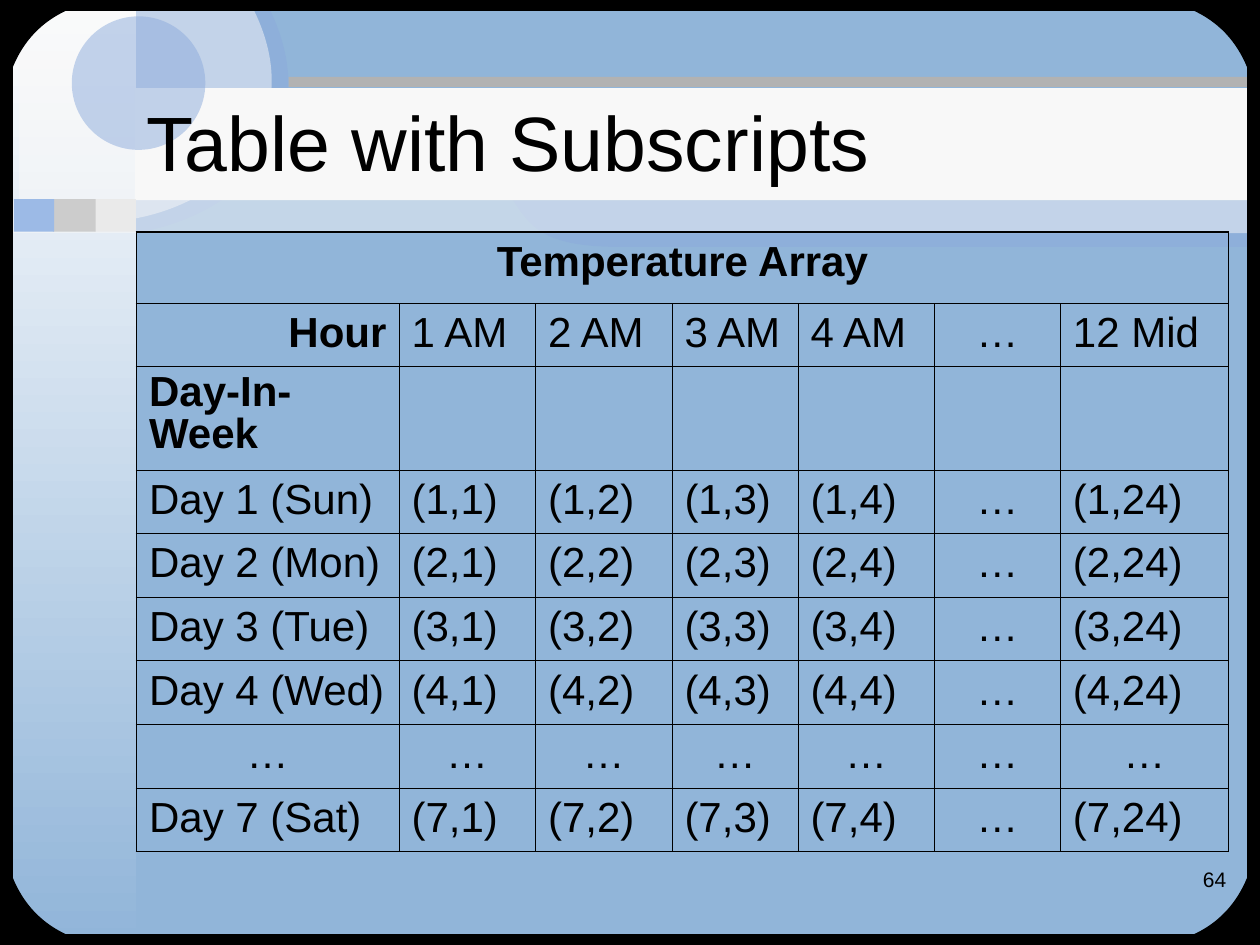
from lxml.etree import SubElement
from pptx import Presentation
from pptx.dml.color import RGBColor
from pptx.enum.shapes import MSO_SHAPE
from pptx.enum.text import MSO_ANCHOR, MSO_AUTO_SIZE, PP_ALIGN
from pptx.oxml.ns import qn
from pptx.util import Inches, Pt

WIDTH, HEIGHT = 10, 7.5
BLACK, PALE, SKY, BLUE = "000000", "F8F8F8", "91B5D9", "8CABDC"
COLUMN_WIDTHS = [twelfths / 12 for twelfths in (25, 13, 13, 12, 13, 12, 16)]
TABLE_HEIGHT = 4.92
HEADER_HEIGHTS = [0.57, 0.5, 0.82]
DAYS = [(1, "Sun"), (2, "Mon"), (3, "Tue"), (4, "Wed"), None, (7, "Sat")]
HOURS = [1, 2, 3, 4, None, 24]
ELLIPSIS = "…"

BAND_CURVE = [(4.07, 1.59),
              (6.99, 1.59), (9.91, 1.59), (9.91, 1.59),
              (9.91, 1.59), (9.91, 1.78), (9.91, 1.96),
              (7.13, 1.96), (5.65, 1.96), (4.91, 1.96),
              (4.29, 1.96), (4.2, 1.78), (4.07, 1.59)]
OUTER_DISC = [(2.13, 0.05),
              (2.81, 1.41), (1.16, 2.21), (0.15, 1.73),
              (0.15, 1.62), (0.15, 0.32), (0.15, 0.05),
              (0.57, 0.05), (1.48, 0.05), (2.13, 0.05)]
INNER_DISC = [(2.01, 0.07),
              (2.64, 1.34), (1.09, 2.08), (0.15, 1.63),
              (0.15, 1.53), (0.15, 0.32), (0.15, 0.07),
              (0.54, 0.07), (1.39, 0.07), (2.01, 0.07)]
CORNER = [(0, 0.88),
          (0, 0.68), (0.01, 0.44), (0.01, 0),
          (0.24, 0), (0.65, 0), (0.77, 0),
          (0.09, 0.14), (0.05, 0.7), (0, 0.88)]


def rgb(color):
    """Return the colour for a hex string."""
    return RGBColor.from_string(color)


def set_attributes(target, values):
    """Set each named attribute of the target."""
    for name, value in values.items():
        setattr(target, name, value)


def paint(shape, color, alpha=None, outlined=False):
    """Fill a shape, with optional opacity in percent and an outline."""
    shape.shadow.inherit = False
    shape.fill.solid()
    shape.fill.fore_color.rgb = rgb(color)
    if alpha is not None:
        color_element = shape.element.spPr.find(qn("a:solidFill"))[0]
        SubElement(color_element, qn("a:alpha"), val=str(alpha * 1000))
    if outlined:
        shape.line.color.rgb = rgb(color)
        shape.line.width = Pt(0.75)
    else:
        shape.line.fill.background()


def add_preset(slide, box, color, alpha=None, outlined=False,
               kind=MSO_SHAPE.RECTANGLE):
    """Add a painted preset shape."""
    shape = slide.shapes.add_shape(kind, *map(Inches, box))
    paint(shape, color, alpha, outlined)
    return shape


def add_curve(slide, points, color, alpha=None, outlined=False):
    """Add a painted freeform whose points after the first form cubic curves."""
    points = [(Inches(x), Inches(y)) for x, y in points]
    builder = slide.shapes.build_freeform(*points[0])
    builder.add_line_segments(points[1:], close=True)
    shape = builder.convert_to_shape()
    segments = list(shape.element.iter(qn("a:lnTo")))
    for start in range(0, len(segments), 3):
        curve, *others = segments[start:start + 3]
        curve.tag = qn("a:cubicBezTo")
        for segment in others:
            curve.append(segment[0])
            segment.getparent().remove(segment)
    paint(shape, color, alpha, outlined)


def add_side_gradient(slide):
    """Add the left panel that fades from white to the background."""
    panel = add_preset(slide, (0, 0, 1.08, HEIGHT), SKY)
    panel.fill.gradient()
    panel.fill.gradient_angle = 270
    for stop, position, color in zip(panel.fill.gradient_stops, (0, 1), ("FEFEFE", SKY)):
        stop.position = position
        stop.color.rgb = rgb(color)


def add_decoration(slide):
    """Add the bands, discs and squares behind the content."""
    add_curve(slide, BAND_CURVE, BLUE, 50)
    add_curve(slide, OUTER_DISC, BLUE, 50)
    add_preset(slide, (2.29, 0.61, 7.71, 0.08), "B2B2B2")
    add_side_gradient(slide)
    add_preset(slide, (0, 1.59, WIDTH, 0.26), PALE, 50)
    add_preset(slide, (1.07, 0.7, 8.93, 0.89), PALE)
    add_curve(slide, INNER_DISC, PALE, 50)
    add_preset(slide, (0.57, 0.13, 1.06, 1.06), BLUE, 50, kind=MSO_SHAPE.OVAL)
    for left, width, color in ((0.75, 0.33, "EAEAEA"), (0.42, 0.34, "CCCCCC"),
                               (0.11, 0.32, "9CBAE6")):
        add_preset(slide, (left, 1.58, width, 0.26), color)


def add_frame(slide):
    """Add the black border with rounded corners."""
    for box in ((0, 0, 0.1, HEIGHT), (WIDTH - 0.1, 0, 0.1, HEIGHT),
                (0, 0, WIDTH, 0.08), (0, HEIGHT - 0.08, WIDTH, 0.08)):
        add_preset(slide, box, BLACK, outlined=True)
    for right in (False, True):
        for bottom in (False, True):
            points = [(WIDTH - x if right else x, HEIGHT - y if bottom else y)
                      for x, y in CORNER]
            add_curve(slide, points, BLACK, outlined=True)


def write(frame, text, size, align=PP_ALIGN.LEFT, bold=False, spacing=None):
    """Write one formatted paragraph."""
    paragraph = frame.paragraphs[0]
    paragraph.text = text
    set_attributes(paragraph, {"alignment": align, "line_spacing": spacing})
    set_attributes(paragraph.runs[0].font,
                   {"size": Pt(size), "name": "Arial", "bold": bold})
    paragraph.runs[0].font.color.rgb = rgb(BLACK)


def add_title(slide, text):
    """Place the title in front of the decoration."""
    title = slide.shapes.title
    title.element.getparent().append(title.element)
    set_attributes(title, {"left": Inches(1.06), "top": Inches(0.49),
                           "width": Inches(8.7), "height": Inches(1.25)})
    set_attributes(title.text_frame, {"vertical_anchor": MSO_ANCHOR.MIDDLE,
                                      "auto_size": MSO_AUTO_SIZE.NONE,
                                      "word_wrap": True})
    write(title.text_frame, text, 44)


def set_borders(cell, widths):
    """Draw the left, right, top and bottom borders of a cell."""
    properties = cell._tc.get_or_add_tcPr()
    for side, width in zip("LRTB", widths):
        line = SubElement(properties, qn(f"a:ln{side}"), w=str(Pt(width)))
        fill = SubElement(line, qn("a:solidFill"))
        SubElement(fill, qn("a:srgbClr"), val=BLACK)


def table_rows():
    """Return the wording of the table by row."""
    rows = [["Temperature Array"] + [""] * 6,
            ["Hour"] + [f"{hour} AM" for hour in HOURS[:4]] + [ELLIPSIS, "12 Mid"],
            ["Day-In-Week"] + [""] * 6]
    for day in DAYS:
        if day is None:
            rows.append([ELLIPSIS] * 7)
        else:
            number, name = day
            rows.append([f"Day {number} ({name})"] +
                        [f"({number},{hour})" if hour else ELLIPSIS for hour in HOURS])
    return rows


def add_temperature_table(slide):
    """Add the table of day and hour subscripts."""
    rows = table_rows()
    last_row, last_column = len(rows) - 1, len(COLUMN_WIDTHS) - 1
    table = slide.shapes.add_table(
        len(rows), len(COLUMN_WIDTHS), Inches(13 / 12), Inches(1.84),
        Inches(sum(COLUMN_WIDTHS)), Inches(TABLE_HEIGHT)).table
    set_attributes(table, {"first_row": False, "horz_banding": False})
    for column, width in zip(table.columns, COLUMN_WIDTHS):
        column.width = Inches(width)
    day_height = (TABLE_HEIGHT - sum(HEADER_HEIGHTS)) / len(DAYS)
    for row, height in zip(table.rows, HEADER_HEIGHTS + [day_height] * len(DAYS)):
        row.height = Inches(height)
    table.cell(0, 0).merge(table.cell(0, last_column))
    alignments = {"Temperature Array": PP_ALIGN.CENTER, "Hour": PP_ALIGN.RIGHT,
                  ELLIPSIS: PP_ALIGN.CENTER}
    for i, texts in enumerate(rows):
        for j, text in enumerate(texts):
            cell = table.cell(i, j)
            edges = (j == 0, j == last_column, i == 0, i == last_row)
            set_borders(cell, [1.08 if edge else 0.45 for edge in edges])
            cell.fill.background()
            if text:
                write(cell.text_frame, text, 24, alignments.get(text, PP_ALIGN.LEFT),
                      bold=i < 3 and j == 0, spacing=0.9 if i == 2 else None)


def add_slide_number(slide, number):
    """Add the slide number at the lower right."""
    box = slide.shapes.add_textbox(*map(Inches, (7.75, 6.83, 2.08, 0.5)))
    box.text_frame.word_wrap = True
    write(box.text_frame, number, 12, PP_ALIGN.RIGHT)


def main():
    """Build and save the slide."""
    presentation = Presentation()
    set_attributes(presentation, {"slide_width": Inches(WIDTH),
                                  "slide_height": Inches(HEIGHT)})
    slide = presentation.slides.add_slide(presentation.slide_layouts[5])
    slide.background.fill.solid()
    slide.background.fill.fore_color.rgb = rgb(SKY)
    add_decoration(slide)
    add_frame(slide)
    add_title(slide, "Table with Subscripts")
    add_temperature_table(slide)
    add_slide_number(slide, "64")
    presentation.save("out.pptx")


if __name__ == "__main__":
    main()
